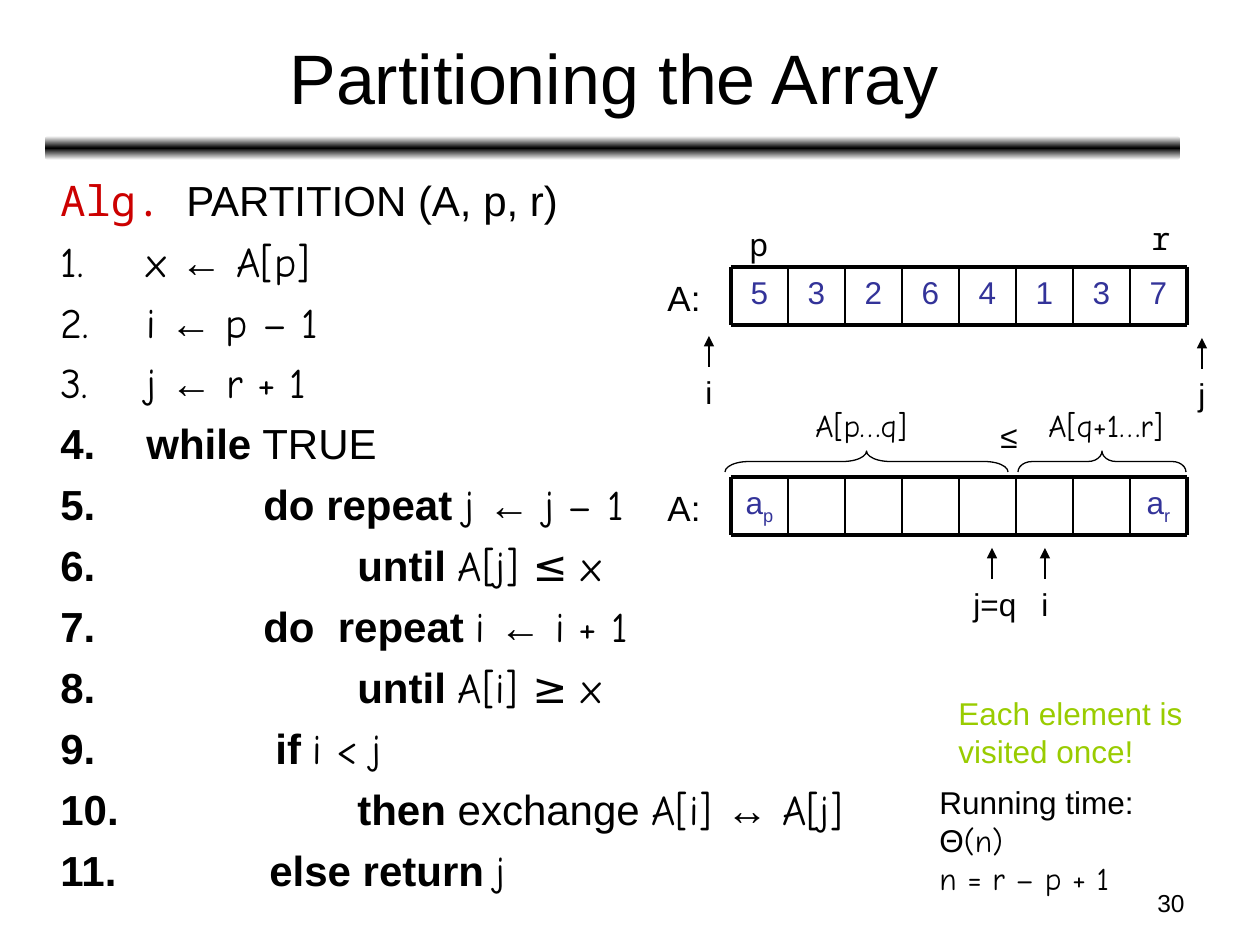
from copy import deepcopy

from pptx import Presentation
from pptx import util as u
from pptx.dml.color import RGBColor
from pptx.enum import shapes, text
from pptx.oxml.ns import qn
from lxml import etree

PX = u.Inches(1) / 126
COLORS = {"ink": "000000", "paper": "FFFFFF", "keyword": "CC0000",
          "value": "333399", "note": "99CC00"}
SANS, HAND, MONO = "Arial", "Comic Neue", "Noto Sans Mono"
LEFT, CENTER, RIGHT = (text.PP_ALIGN.LEFT, text.PP_ALIGN.CENTER, text.PP_ALIGN.RIGHT)

CODE = [
    (86, [("x ", "hand"), ("←", "sans"), (" A[p]", "hand")]),
    (86, [("i ", "hand"), ("←", "sans"), (" p – 1", "hand")]),
    (86, [("j ", "hand"), ("←", "sans"), (" r + 1", "hand")]),
    (86, [("while", "bold"), (" TRUE", "sans")]),
    (203, [("do repeat ", "bold"), ("j ", "hand"), ("←", "sans"), (" j – 1", "hand")]),
    (297, [("until ", "bold"), ("A[j] ≤ x", "hand")]),
    (203, [("do  repeat ", "bold"), ("i ", "hand"), ("←", "sans"), (" i + 1", "hand")]),
    (297, [("until ", "bold"), ("A[i] ≥ x", "hand")]),
    (215, [("if ", "bold"), ("i < j", "hand")]),
    (297, [("then", "bold"), (" exchange ", "sans"), ("A[i] ", "hand"),
           ("↔", "sans"), (" A[j]", "hand")]),
    (209, [("else return ", "bold"), ("j", "hand")]),
]


def px(*values):
    return [u.Emu(round(v * PX)) for v in values]


def rgb(name):
    return RGBColor.from_string(COLORS[name])


def style(r, size, font=SANS, color="ink", bold=False):
    r.font.size = u.Pt(size)
    r.font.name = font
    r.font.color.rgb = rgb(color)
    r.font.bold = bold


def add_runs(p, parts, size):
    for words, kind in parts:
        r = p.add_run()
        r.text = words
        style(r, size, {"hand": HAND, "mono": MONO}.get(kind, SANS),
              "keyword" if kind == "mono" else "ink", kind == "bold")


def add_label(s, box, words, size=18, font=SANS, color="ink", align=LEFT, wrap=False):
    tf = s.shapes.add_textbox(*px(*box)).text_frame
    tf.word_wrap = wrap
    tf.text = words
    for p in tf.paragraphs:
        p.alignment = align
        for r in p.runs:
            style(r, size, font, color)
    return tf


def add_line(s, start, end, width, arrow=False):
    ln = s.shapes.add_connector(shapes.MSO_CONNECTOR.STRAIGHT, *px(*start, *end))
    ln.line.color.rgb = rgb("ink")
    ln.line.width = u.Pt(width)
    if arrow:
        etree.SubElement(ln.line._get_or_add_ln(), qn("a:tailEnd"), type="triangle")
    etree.SubElement(ln._element.spPr, qn("a:effectLst"))


def add_header(s, x, y, w, h):
    sp = s.shapes.add_shape(shapes.MSO_SHAPE.ROUNDED_RECTANGLE,
                            *px(x - 2, y + 122, w + 1, 24))
    sp.shadow.inherit = False
    sp.line.fill.background()
    sp.fill.gradient()
    sp.fill.gradient_angle = 270
    stops = sp._element.spPr.find(qn("a:gradFill")).find(qn("a:gsLst"))
    stops.insert(1, deepcopy(stops[0]))
    for stop, color, pos in zip(sp.fill.gradient_stops, ("paper", "ink", "paper"),
                                (0, 0.5, 1)):
        stop.color.rgb = rgb(color)
        stop.position = pos
    title = s.shapes.title
    title.left, title.top, title.width, title.height = px(x, y, w, h)
    tf = title.text_frame
    tf.text = "Partitioning the Array"
    tf.vertical_anchor = text.MSO_ANCHOR.MIDDLE
    tf.paragraphs[0].alignment = CENTER
    style(tf.paragraphs[0].runs[0], 40)


def add_code(s, x, y, w, h):
    tf = s.shapes.add_textbox(*px(x, y, w, h)).text_frame
    tf.word_wrap = True
    add_runs(tf.paragraphs[0], [("Alg. ", "mono"), ("PARTITION (A, p, r)", "sans")], 24)
    for indent, parts in CODE:
        p = tf.add_paragraph()
        add_runs(p, parts, 24)
        pPr = p._p.get_or_add_pPr()
        margin = px(indent)[0]
        pPr.set("marL", str(margin))
        pPr.set("indent", str(-margin))
        etree.SubElement(pPr, qn("a:buFont"), typeface=SANS)
        etree.SubElement(pPr, qn("a:buAutoNum"), type="arabicPeriod")
    for p in tf.paragraphs:
        p.space_before = u.Pt(6)
        p.line_spacing = u.Pt(28.8)


def add_array(s, x, y, w, h, values):
    edges = [x + w * i / len(values) for i in range(len(values) + 1)]
    for left, value in zip(edges, values):
        if not value:
            continue
        tf = add_label(s, (left, y, w / len(values), h), value[0],
                       color="value", align=CENTER, wrap=True)
        p = tf.paragraphs[0]
        p.space_before = u.Pt(4.5)
        if value[1:]:
            r = p.add_run()
            r.text = value[1:]
            style(r, 18, color="value")
            r.font._element.set("baseline", "-25000")
    for row in (y, y + h):
        add_line(s, (x, row), (x + w, row), 2.25)
    for edge in edges:
        add_line(s, (edge, y), (edge, y + h), 2.25 if edge in (x, x + w) else 1)
    add_label(s, (x - 76, y + 3, 58, 55), "A:", 20)


def add_pointer(s, x, y, name, width=32, shift=0):
    add_line(s, (x, y + 31), (x, y), 0.75, arrow=True)
    add_label(s, (x - width / 2 + shift, y + 31, width, 50), name)


def add_brace(s, x, y, w, h, curve):
    sp = s.shapes.add_shape(shapes.MSO_SHAPE.LEFT_BRACE,
                            *px(x + (w - h) / 2, y - (w - h) / 2, h, w))
    sp.rotation = 90
    sp.adjustments[0] = curve
    sp.shadow.inherit = False
    sp.fill.background()
    sp.line.color.rgb = rgb("ink")
    sp.line.width = u.Pt(0.75)


def add_start_state(s, x, y, w, h):
    add_array(s, x, y, w, h, "53264137")
    add_pointer(s, x - 22, y + 69, "i")
    add_pointer(s, x + w + 15, y + 71, "j")
    add_label(s, (x + 6, y - 48, 44, 50), "p", font=MONO)
    add_label(s, (x + 408, y - 54, 38, 50), "r", font=MONO)


def add_end_state(s, x, y, w, h):
    add_array(s, x, y, w, h, ["ap"] + [""] * 6 + ["ar"])
    add_pointer(s, x + 314, y + 71, "i")
    add_pointer(s, x + 261, y + 71, "j=q", 68, 3)
    add_brace(s, x - 6, y - 26, 283, 21, 1.13)
    add_brace(s, x + 287, y - 26, 168, 21, 0.67)
    add_label(s, (x + 72, y - 77, 117, 50), "A[p…q]", font=HAND)
    add_label(s, (x + 305, y - 77, 140, 50), "A[q+1…r]", font=HAND)
    add_label(s, (x + 257, y - 66, 43, 50), "≤")


def add_remarks(s, x, y):
    add_label(s, (x + 19, y, 249, 88), "Each element is\nvisited once!", color="note")
    tf = s.shapes.add_textbox(*px(x, y + 89, 270, 88)).text_frame
    tf.word_wrap = True
    add_runs(tf.paragraphs[0], [("Running time: Θ", "sans"), ("(n)", "hand")], 18)
    add_runs(tf.add_paragraph(), [("n = r – p + 1", "hand")], 18)
    add_label(s, (x - 24, y + 194, 294, 44), "30", 14, align=RIGHT, wrap=True)


def main():
    prs = Presentation()
    prs.slide_width, prs.slide_height = px(1260, 945)
    s = prs.slides.add_slide(prs.slide_layouts[5])
    add_header(s, 47, 14, 1134, 125)
    add_code(s, 48, 168, 1134, 736)
    add_remarks(s, 927, 688)
    add_start_state(s, 731, 267, 456, 58)
    add_end_state(s, 731, 477, 456, 58)
    prs.save("out.pptx")


if __name__ == "__main__":
    main()
